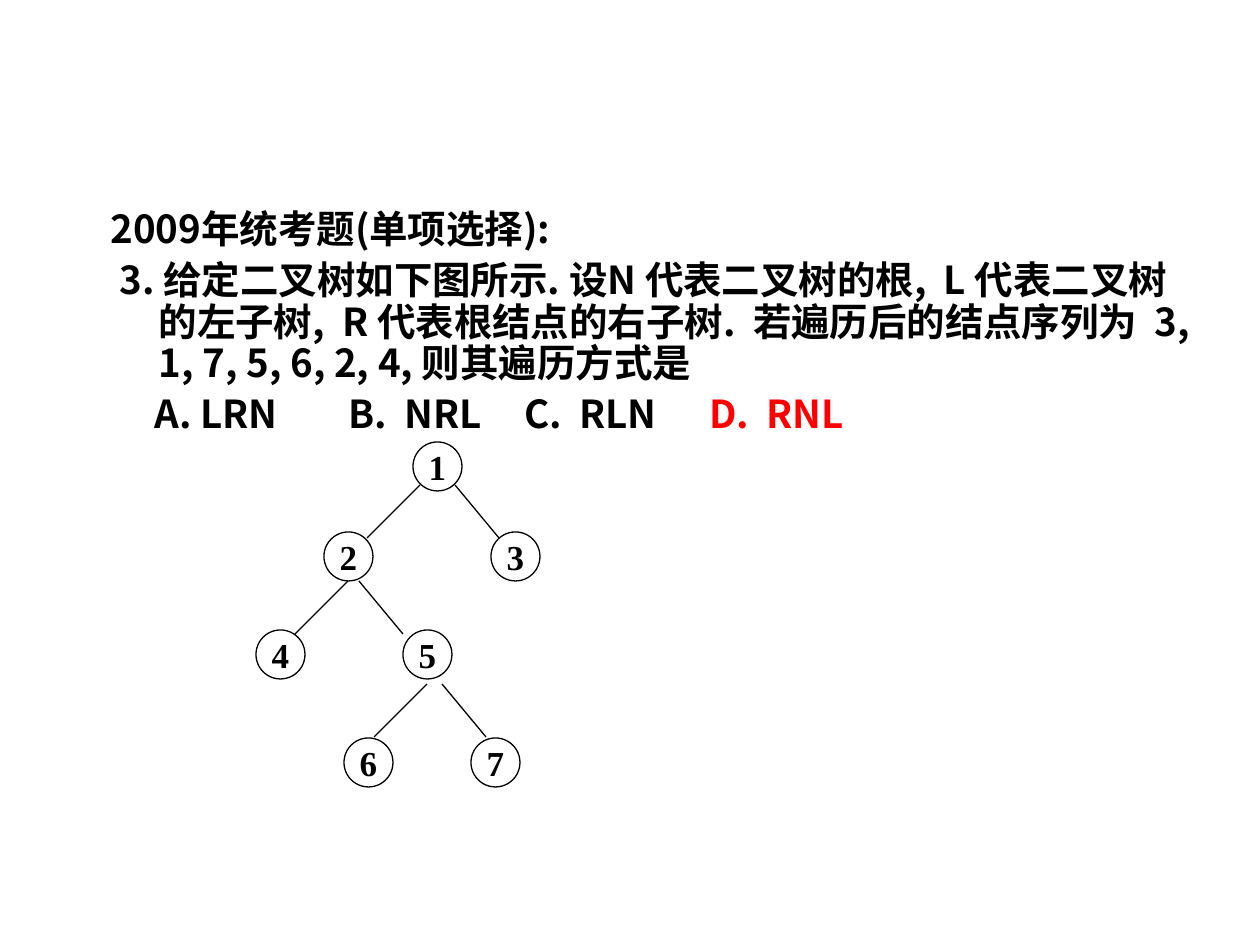
from lxml import etree
from pptx import Presentation
from pptx import util as u
from pptx.dml.color import RGBColor
from pptx.enum import shapes, text
from pptx.oxml.ns import qn

PX = 914400 / 126
COLOURS = {"ink": "000000", "answer": "FF0000"}
CJK_FONT = "Noto Sans CJK SC"
DIGIT_FONT = "Times New Roman"

HEADING = "2009年统考题(单项选择):"
QUESTION = ("3. 给定二叉树如下图所示. 设N 代表二叉树的根,  L 代表二叉树的左子树,  "
            "R 代表根结点的右子树.  若遍历后的结点序列为  3, 1, 7, 5, 6, 2, 4, 则其遍历方式是")
OPTIONS = {"A. LRN": 142, "B.  NRL": 336, "C.  RLN": 512, "D.  RNL": 697}
ANSWER = "D.  RNL"
OPTION_TOP, OPTION_WIDTH, OPTION_HEIGHT = 389, 170, 53

NODE_SIZE = 49
NODES = {"1": (413, 442), "2": (324, 532), "3": (491, 532), "4": (256, 630),
         "5": (403, 630), "6": (344, 738), "7": (471, 738)}
# Each parent's left and right branch start, and their shared height
BRANCHES = [(420, 455, 485), (348, 359, 581), (427, 442, 684)]
LEFT_RUN, RIGHT_RUN, DROP = -53, 44, 53


def px(length):
    return u.Emu(round(length * PX))


def colour(name):
    return RGBColor.from_string(COLOURS[name])


def add_text(paragraph, content, font=CJK_FONT, size=22, ink="ink"):
    run = paragraph.add_run()
    run.text = content
    run.font.name = font
    run.font.size = u.Pt(size)
    run.font.bold = True
    run.font.color.rgb = colour(ink)
    east_asian = etree.SubElement(run._r.get_or_add_rPr(), qn("a:ea"))
    east_asian.set("typeface", font)


def format_paragraph(paragraph, margin=0, indent=0):
    paragraph.line_spacing = 0.9
    paragraph.space_before = u.Pt(5.5)
    properties = paragraph._p.get_or_add_pPr()
    properties.set("marL", str(px(margin)))
    properties.set("indent", str(px(indent)))
    etree.SubElement(properties, qn("a:buNone"))


def fill_question(body):
    body.left, body.top, body.width, body.height = map(px, (98, 204, 1113, 185))
    frame = body.text_frame
    frame.auto_size = text.MSO_AUTO_SIZE.NONE
    frame.vertical_anchor = text.MSO_ANCHOR.TOP

    heading = frame.paragraphs[0]
    format_paragraph(heading, margin=48, indent=-48)
    add_text(heading, HEADING)

    question = frame.add_paragraph()
    format_paragraph(question, margin=48, indent=-39)
    add_text(question, QUESTION)


def add_option(slide, label, left):
    box = slide.shapes.add_textbox(px(left), px(OPTION_TOP),
                                   px(OPTION_WIDTH), px(OPTION_HEIGHT))
    frame = box.text_frame
    frame.word_wrap = True
    format_paragraph(frame.paragraphs[0])
    add_text(frame.paragraphs[0], label, ink="answer" if label == ANSWER else "ink")


def add_node(slide, label, left, top):
    shape = slide.shapes.add_shape(shapes.MSO_SHAPE.OVAL, px(left), px(top),
                                   px(NODE_SIZE), px(NODE_SIZE))
    shape.shadow.inherit = False
    shape.fill.background()
    shape.line.color.rgb = colour("ink")
    shape.line.width = u.Pt(0.75)
    frame = shape.text_frame
    frame.margin_left = frame.margin_right = frame.margin_top = frame.margin_bottom = 0
    frame.word_wrap = False
    frame.vertical_anchor = text.MSO_ANCHOR.MIDDLE
    frame.paragraphs[0].alignment = text.PP_ALIGN.CENTER
    add_text(frame.paragraphs[0], label, font=DIGIT_FONT, size=20)


def add_branch(slide, left, top, run):
    line = slide.shapes.add_connector(shapes.MSO_CONNECTOR.STRAIGHT, px(left), px(top),
                                      px(left + run), px(top + DROP))
    line.line.color.rgb = colour("ink")
    line.line.width = u.Pt(0.75)
    etree.SubElement(line._element.spPr, qn("a:effectLst"))


def main():
    presentation = Presentation()
    presentation.slide_width, presentation.slide_height = px(1260), px(945)
    slide = presentation.slides.add_slide(presentation.slide_layouts[1])
    title = slide.shapes.title._element
    title.getparent().remove(title)

    fill_question(slide.placeholders[1])
    for label, left in OPTIONS.items():
        add_option(slide, label, left)
    for label, (left, top) in NODES.items():
        add_node(slide, label, left, top)
    for left_start, right_start, top in BRANCHES:
        add_branch(slide, left_start, top, LEFT_RUN)
        add_branch(slide, right_start, top, RIGHT_RUN)
    presentation.save("out.pptx")


if __name__ == "__main__":
    main()
